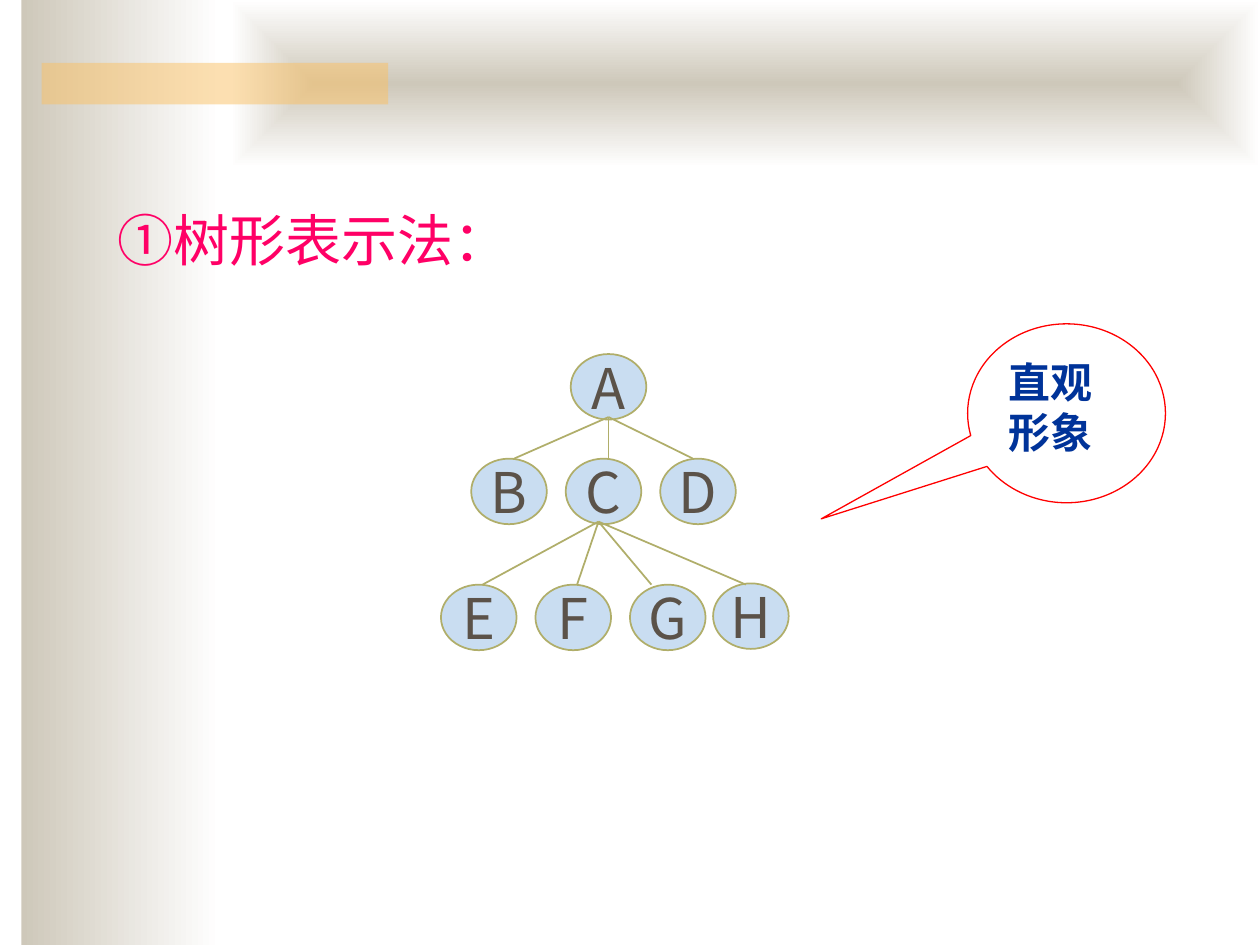
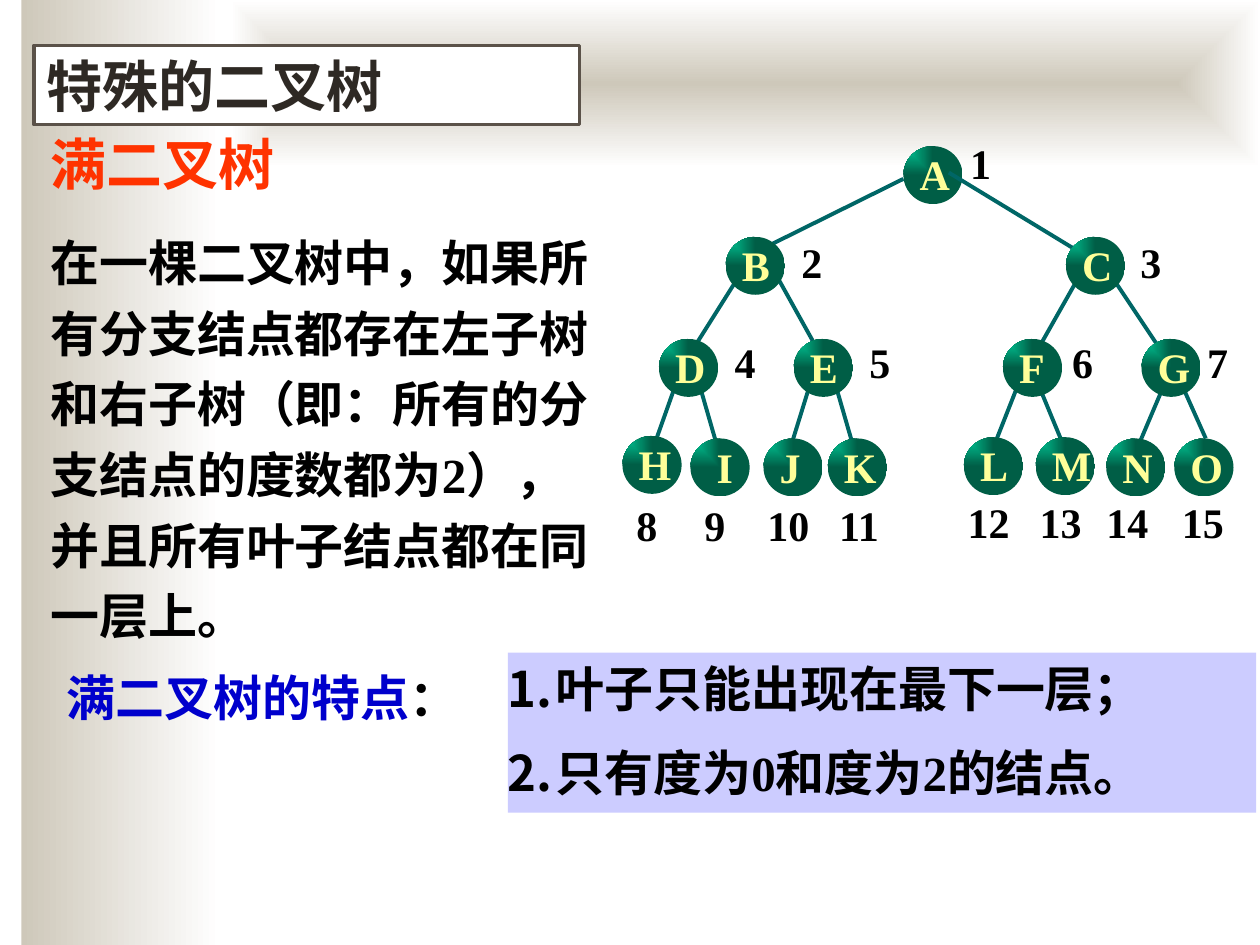
from dataclasses import dataclass

from lxml.etree import SubElement
from pptx import Presentation
from pptx.dml.color import RGBColor
from pptx.enum.lang import MSO_LANGUAGE_ID as Language
from pptx.enum.shapes import MSO_CONNECTOR, MSO_SHAPE as Preset
from pptx.enum.text import MSO_ANCHOR as Anchor, MSO_AUTO_SIZE as AutoSize, PP_ALIGN as Align
from pptx.oxml.ns import qn
from pptx.util import Inches, Pt

WIDTH, HEIGHT = Inches(10), Inches(7.5)
COLUMN, ROW = WIDTH // 100, HEIGHT // 75
TITLE_ONLY, TITLE_AND_BODY = 5, 1

CHINESE_FONT = "Noto Sans CJK SC"
SERIF = "Times New Roman"
STONE, WHITE, BLACK, BROWN = "CEC8BA", "FFFFFF", "000000", "5B5249"
OLIVE, TEAL = "B0AE6A", "006666"


@dataclass
class Style:
    size: float
    color: str
    font: str = SERIF
    bold: bool = True
    line_spacing: float = 1.0
    half_line_before: bool = False
    align: Align = Align.LEFT


HEADING = Style(32, "FF0066", "Lato", bold=False, half_line_before=True)
BOXED_HEADING = Style(32, "2E2924", half_line_before=True)
TERM = Style(32, "FF3300", line_spacing=1.2, half_line_before=True)
DEFINITION = Style(28, BLACK, line_spacing=1.2, half_line_before=True)
FEATURE_LABEL = Style(28, "0000CC", half_line_before=True)
FEATURE = Style(28, BLACK, half_line_before=True)
REMARK = Style(24, "003399")
TREE_LETTER = Style(32, BROWN, CHINESE_FONT, bold=False,
                    half_line_before=True, align=Align.CENTER)
BINARY_LETTER = Style(24, "FFFF99", line_spacing=0.9)
NUMBER = Style(24, BLACK)

# Parent's lower point, row of the children's upper points, their columns
TREE_EDGES = [
    ((48.3, 33.1), 36.4, [48.3, 40.8, 55]),
    ((47.5, 41.4), 46.4, [38.3, 45.8, 51.7, 59.2]),
]
TREE_NODES = [("A", 45.3, 28.1)]
TREE_NODES += [(letter, 37.4 + 7.5 * i, 36.4) for i, letter in enumerate("BCD")]
TREE_NODES += [(letter, 35 + 7.5 * i, 46.4) for i, letter in enumerate("EFG")]
TREE_NODES += [("H", 56.6, 46.3)]

# Letter, node column and row, number column and row; numbered in this order
BINARY_NODES = [
    ("A", 71.7, 11.6, 77, 10.7),
    ("B", 57.6, 18.8, 63.6, 18.6), ("C", 84.6, 18.8, 90.5, 18.6),
    ("D", 52.3, 26.9, 58.3, 26.5), ("E", 63, 26.9, 69, 26.5),
    ("F", 79.6, 26.9, 85.1, 26.5), ("G", 90.6, 26.9, 95.8, 26.5),
    ("H", 49.4, 34.6, 50.5, 39.4), ("I", 54.8, 34.8, 55.9, 39.4),
    ("J", 60.6, 34.8, 60.9, 39.4), ("K", 65.7, 34.8, 66.6, 39.4),
    ("L", 76.5, 34.7, 76.8, 39.2), ("M", 82.2, 34.7, 82.5, 39.2),
    ("N", 87.8, 34.8, 87.8, 39.2), ("O", 93.2, 34.8, 93.8, 39.2),
]
BINARY_EDGES = [
    (71.7, 14.2, 60.8, 19.6), (75.3, 13.7, 85.5, 19.9),
    (58.6, 22, 55.2, 27.4), (61.7, 22, 64.7, 27.4),
    (85.5, 22.2, 82.5, 27.5), (88.4, 22.2, 91.8, 27.3),
    (53.6, 30.6, 52, 35.1), (55.5, 30.5, 56.8, 35),
    (64.2, 30.8, 62.9, 35), (66.3, 30.5, 67.6, 35),
    (80.7, 30.8, 79, 35.1), (82.4, 30.5, 84.3, 35.1),
    (92.2, 31, 90.5, 35), (94, 31, 95.7, 34.8),
]


def rgb(color):
    return RGBColor.from_string(color)


def cells(left, top, width, height):
    """Turn grid columns and rows into lengths."""
    return (round(left * COLUMN), round(top * ROW),
            round(width * COLUMN), round(height * ROW))


def move(shape, *box):
    shape.left, shape.top, shape.width, shape.height = cells(*box)


def paint(shape, fill=None, line=None, line_width=1):
    if fill:
        shape.fill.solid()
        shape.fill.fore_color.rgb = rgb(fill)
    if line:
        shape.line.color.rgb = rgb(line)
        shape.line.width = Pt(line_width)
    else:
        shape.line.fill.background()


def add_preset(slide, preset, box, fill=None, line=None, line_width=1):
    shape = slide.shapes.add_shape(preset, *cells(*box))
    shape.shadow.inherit = False
    paint(shape, fill, line, line_width)
    return shape


def set_gradient(shape, start, end, focus=None, kind="shape"):
    """Blend left to right, or outwards from the focus (left, top, right, bottom in %)."""
    shape.fill.gradient()
    gradient = shape.element.spPr.find(qn("a:gradFill"))
    gradient.clear()
    gradient.set("rotWithShape", "1")
    stops = SubElement(gradient, qn("a:gsLst"))
    for position, color in (("0", start), ("100000", end)):
        stop = SubElement(stops, qn("a:gs"), pos=position)
        SubElement(stop, qn("a:srgbClr"), val=color)
    if focus is None:
        SubElement(gradient, qn("a:lin"), ang="0", scaled="1")
    else:
        shade = SubElement(gradient, qn("a:path"), {"path": kind})
        sides = {side: str(share * 1000) for side, share in zip("ltrb", focus)}
        SubElement(shade, qn("a:fillToRect"), sides)


def set_opacity(shape, percent):
    color = shape.element.spPr.find(qn("a:solidFill")).find(qn("a:srgbClr"))
    SubElement(color, qn("a:alpha"), val=str(percent * 1000))


def format_run(run, style, color=None):
    run.font.size = Pt(style.size)
    run.font.bold = style.bold
    run.font.name = style.font
    run.font.color.rgb = rgb(color or style.color)
    run.font.language_id = Language.SIMPLIFIED_CHINESE
    SubElement(run.font._element, qn("a:ea"), typeface=CHINESE_FONT)


def format_paragraph(paragraph, style):
    paragraph.alignment = style.align
    paragraph.line_spacing = style.line_spacing
    paragraph.space_before = Pt(0)
    if style.half_line_before:
        spacing = paragraph._p.pPr.find(qn("a:spcBef"))
        spacing.clear()
        SubElement(spacing, qn("a:spcPct"), val="50000")
    for run in paragraph.runs:
        format_run(run, style)


def write(shape, text, *styles, insets=(1, 0.5, 1, 0.5), grow=False,
          wrap=True, anchor=Anchor.TOP):
    """Fill a shape with text; the last style serves all further paragraphs."""
    frame = shape.text_frame
    frame.text = text
    frame.word_wrap = wrap
    frame.vertical_anchor = anchor
    frame.auto_size = AutoSize.SHAPE_TO_FIT_TEXT if grow else AutoSize.NONE
    frame.margin_left, frame.margin_top, frame.margin_right, frame.margin_bottom = cells(*insets)
    for index, paragraph in enumerate(frame.paragraphs):
        format_paragraph(paragraph, styles[min(index, len(styles) - 1)])
    return frame


def add_text(slide, box, text, *styles, **options):
    return write(slide.shapes.add_textbox(*cells(*box)), text, *styles, **options)


def number_paragraph(paragraph, indent):
    properties = paragraph._p.get_or_add_pPr()
    properties.set("marL", str(round(indent * COLUMN)))
    properties.set("indent", str(-round(indent * COLUMN)))
    SubElement(properties, qn("a:buFont"), typeface=CHINESE_FONT)
    SubElement(properties, qn("a:buAutoNum"), type="arabicPeriod")


def add_edge(slide, start, end, color, width):
    points = cells(*start, *end)
    edge = slide.shapes.add_connector(MSO_CONNECTOR.STRAIGHT, *points)
    edge.line.color.rgb = rgb(color)
    edge.line.width = Pt(width)
    SubElement(edge.element.spPr, qn("a:effectLst"))


def add_tree_node(slide, letter, left, top):
    node = add_preset(slide, Preset.OVAL, (left, top, 6, 5.2), "C9DDF1", OLIVE)
    write(node, letter, TREE_LETTER, insets=(0, 0, 0, 0), wrap=False, anchor=Anchor.MIDDLE)


def add_binary_node(slide, letter, left, top):
    node = add_preset(slide, Preset.OVAL, (left, top, 4.7, 4.6))
    set_gradient(node, "00CC99", "005E46", (0, 0, 100, 100), "rect")
    write(node, letter, BINARY_LETTER, insets=(1.4 if letter == "I" else 0.6, 0, 0, 0))


def add_bands(presentation, slide):
    """Draw the shared bands and move them to the back of the slide master."""
    side = add_preset(slide, Preset.RECTANGLE, (1.7, 0, 15.8, 75))
    set_gradient(side, STONE, WHITE)
    top = add_preset(slide, Preset.RECTANGLE, (18.3, 0, 81.7, 13.3))
    set_gradient(top, STONE, WHITE, (50, 50, 50, 50))
    tree = presentation.slide_master.shapes.element
    for position, band in enumerate((side, top), start=2):
        tree.insert(position, band.element)


def build_tree_slide(slide):
    bar = add_preset(slide, Preset.RECTANGLE, (3.3, 5, 27.5, 3.3), "FAC164")
    set_opacity(bar, 50)

    title = slide.shapes.title
    move(title, 8.3, 15.8, 81.7, 6.4)
    write(title, "①树形表示法：", HEADING)

    for node in TREE_NODES:
        add_tree_node(slide, *node)
    for parent, row, columns in TREE_EDGES:
        for column in columns:
            add_edge(slide, parent, (column, row), OLIVE, 1)

    callout = add_preset(slide, Preset.OVAL_CALLOUT, (76.8, 25.7, 15.7, 14.2),
                         WHITE, "FF0000", 0.75)
    callout.adjustments[0] = -1.24
    callout.adjustments[1] = 0.59
    write(callout, "直观\n形象", REMARK, wrap=False)


def build_binary_tree(slide):
    root, *descendants = BINARY_NODES
    add_binary_node(slide, *root[:3])
    for left, top, right, bottom in BINARY_EDGES:
        add_edge(slide, (left, top), (right, bottom), TEAL, 2.25)
    for node in descendants:
        add_binary_node(slide, *node[:3])
    for number, (*_, left, top) in enumerate(BINARY_NODES, start=1):
        width = 2.7 if number < 10 else 4.2
        add_text(slide, (left, top, width, 3.9), str(number), NUMBER, insets=(0, 0.2, 0, 0))


def build_full_binary_slide(slide):
    title, features = slide.placeholders
    move(title, 2.7, 3.6, 43.3, 6.3)
    paint(title, WHITE, BROWN, 2)
    write(title, "特殊的二叉树", BOXED_HEADING)

    add_text(slide, (4, 8.7, 43.3, 43.8),
             "满二叉树\n在一棵二叉树中，如果所有分支结点都存在左子树和右子树"
             "（即：所有的分支结点的度数都为2），并且所有叶子结点都在同一层上。",
             TERM, DEFINITION, insets=(0, 0.5, 0, 0.5), grow=True)

    label = add_text(slide, (4.3, 52.5, 34.3, 5.7), "满二叉树的特点", FEATURE_LABEL, grow=True)
    colon = label.paragraphs[0].add_run()
    colon.text = "："
    format_run(colon, FEATURE_LABEL, BLACK)

    move(features, 40.3, 51.8, 59.4, 12.7)
    paint(features, "CCCCFF")
    frame = write(features, "叶子只能出现在最下一层；\n只有度为0和度为2的结点。",
                  FEATURE, insets=(0, 0.5, 0, 0.5))
    for paragraph in frame.paragraphs:
        number_paragraph(paragraph, 3.8)

    build_binary_tree(slide)


def main():
    presentation = Presentation()
    presentation.slide_width, presentation.slide_height = WIDTH, HEIGHT
    layouts = presentation.slide_layouts
    tree_slide = presentation.slides.add_slide(layouts[TITLE_ONLY])
    add_bands(presentation, tree_slide)
    build_tree_slide(tree_slide)
    build_full_binary_slide(presentation.slides.add_slide(layouts[TITLE_AND_BODY]))
    presentation.save("out.pptx")


if __name__ == "__main__":
    main()
